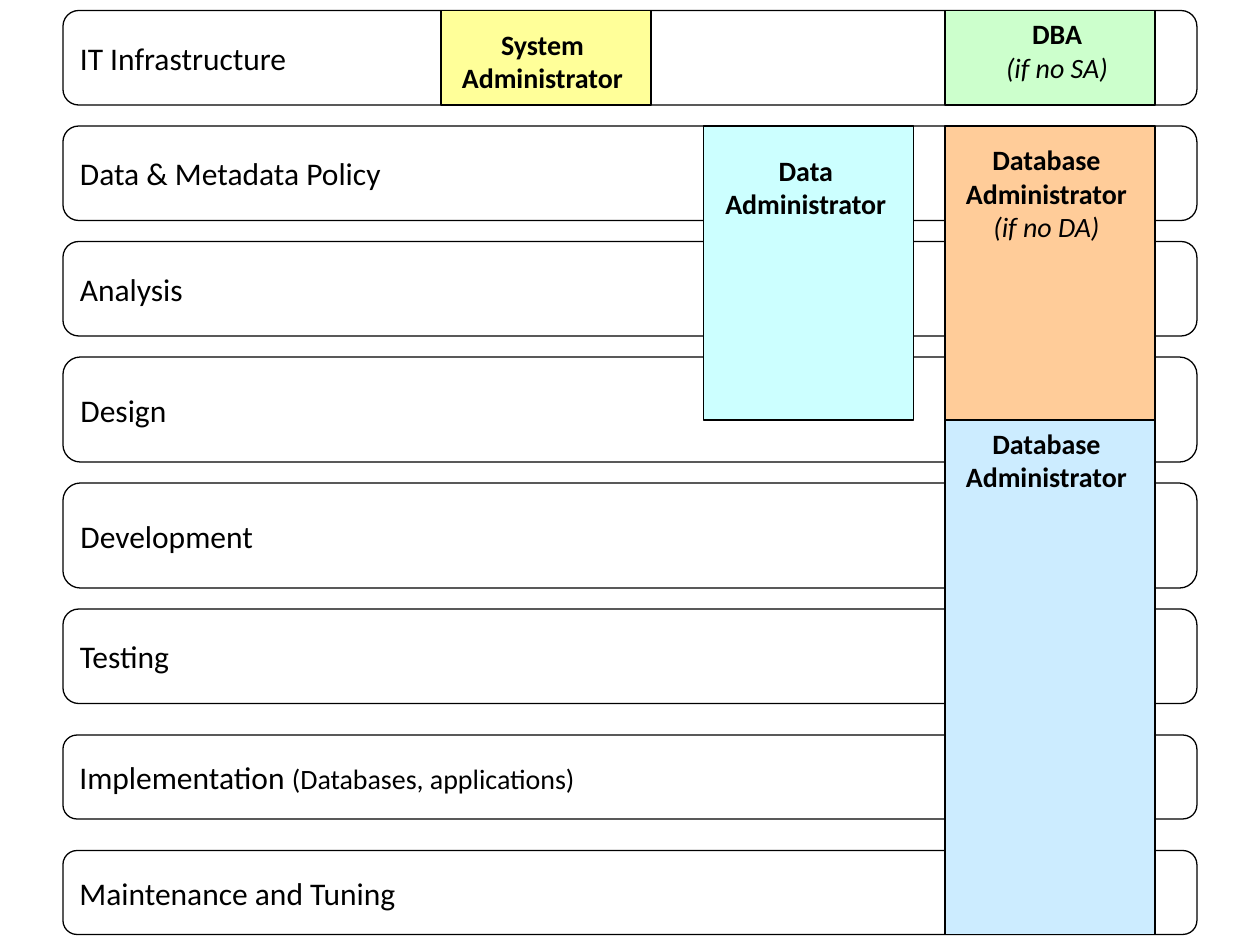
from dataclasses import dataclass

from pptx import Presentation
from pptx.dml.color import RGBColor
from pptx.enum.shapes import MSO_SHAPE
from pptx.enum.text import MSO_ANCHOR, MSO_AUTO_SIZE, PP_ALIGN
from pptx.util import Pt

ROUNDED = MSO_SHAPE.FLOWCHART_ALTERNATE_PROCESS
RECTANGLE = MSO_SHAPE.RECTANGLE
MIDDLE, TOP = MSO_ANCHOR.MIDDLE, MSO_ANCHOR.TOP
FIT_SHAPE = MSO_AUTO_SIZE.SHAPE_TO_FIT_TEXT
LEFT, CENTER = PP_ALIGN.LEFT, PP_ALIGN.CENTER

COLORS = {
    "black": "000000",
    "white": "FFFFFF",
    "system": "FFFF99",
    "data": "CCFFFF",
    "fallback_system": "CCFFCC",
    "fallback_data": "FFCC99",
    "database": "CCECFF",
}
FONT = "Calibri"
ROW_LEFT, ROW_WIDTH = 36, 648
ROLE_WIDTH = 120

PHASE = {"size": Pt(18)}
DETAIL = {"size": Pt(16)}
ROLE_NAME = {"size": Pt(16), "bold": True}
CONDITION = {"size": Pt(16), "italic": True}


@dataclass
class Row:
    name: str
    top: float
    height: float
    detail: str = ""


@dataclass
class Role:
    color: str
    left: float
    top: float
    height: float
    names: tuple[str, ...]
    caption_left: float
    caption_top: float
    caption_width: float = 113
    caption_height: float = 46
    condition: str = ""


ROWS = [
    Row("IT Infrastructure", 6, 54),
    Row("Data & Metadata Policy", 72, 54),
    Row("Analysis", 138, 54),
    Row("Design", 204, 60),
    Row("Development", 276, 60),
    Row("Testing", 348, 54),
    Row("Implementation ", 420, 48, "(Databases, applications)"),
    Row("Maintenance and Tuning", 486, 48),
]

ROLES = [
    Role("data", 402, 72, 168, ("Data", "Administrator"), 404, 84),
    Role("fallback_system", 540, 6, 54, ("DBA",), 566, 6,
         caption_width=76, condition="(if no SA)"),
    Role("system", 252, 6, 54, ("System", "Administrator"), 253.5, 12),
    Role("database", 540, 222, 312, ("Database", "Administrator"), 541.5, 240),
    Role("fallback_data", 540, 72, 168, ("Database", "Administrator"), 541.5, 78,
         caption_height=84, condition="(if no DA)"),
]


def color(name: str) -> RGBColor:
    return RGBColor.from_string(COLORS[name])


def add_run(paragraph, text: str, font_format: dict) -> None:
    run = paragraph.add_run()
    run.text = text
    run.font.name = FONT
    run.font.color.rgb = color("black")
    for attribute, value in font_format.items():
        setattr(run.font, attribute, value)


def add_box(slide, kind, left: float, top: float, width: float, height: float,
            fill: str):
    shape = slide.shapes.add_shape(kind, Pt(left), Pt(top), Pt(width), Pt(height))
    shape.shadow.inherit = False
    shape.fill.solid()
    shape.fill.fore_color.rgb = color(fill)
    shape.line.color.rgb = color("black")
    shape.line.width = Pt(0.75)
    return shape


def add_row(slide, row: Row) -> None:
    shape = add_box(slide, ROUNDED, ROW_LEFT, row.top, ROW_WIDTH, row.height, "white")
    frame = shape.text_frame
    frame.word_wrap = False
    frame.vertical_anchor = MIDDLE
    paragraph = frame.paragraphs[0]
    paragraph.alignment = LEFT
    add_run(paragraph, row.name, PHASE)
    if row.detail:
        add_run(paragraph, row.detail, DETAIL)


def add_role(slide, role: Role) -> None:
    add_box(slide, RECTANGLE, role.left, role.top, ROLE_WIDTH, role.height, role.color)
    caption = slide.shapes.add_textbox(
        Pt(role.caption_left), Pt(role.caption_top),
        Pt(role.caption_width), Pt(role.caption_height))
    frame = caption.text_frame
    frame.word_wrap = False
    frame.auto_size = FIT_SHAPE
    frame.vertical_anchor = TOP
    lines = [(name, ROLE_NAME) for name in role.names]
    if role.condition:
        lines.append((role.condition, CONDITION))
    for index, (text, font_format) in enumerate(lines):
        paragraph = frame.add_paragraph() if index else frame.paragraphs[0]
        paragraph.alignment = CENTER
        add_run(paragraph, text, font_format)


def main() -> None:
    presentation = Presentation()
    presentation.slide_width, presentation.slide_height = Pt(720), Pt(540)
    # The slide has no title, so it uses the blank layout
    slide = presentation.slides.add_slide(presentation.slide_layouts[6])

    # Life-cycle phases
    for row in ROWS:
        add_row(slide, row)

    # Responsibilities spanning the phases
    for role in ROLES:
        add_role(slide, role)

    presentation.save("out.pptx")


if __name__ == "__main__":
    main()
